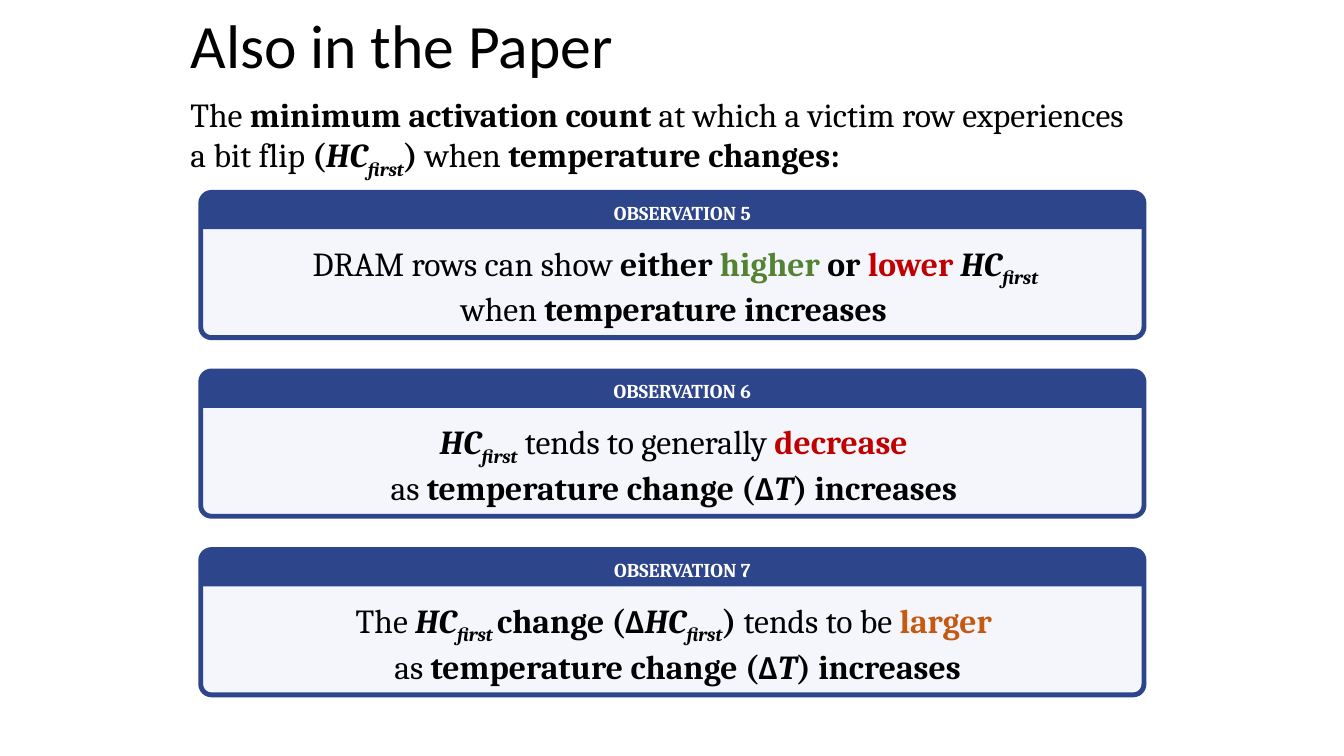
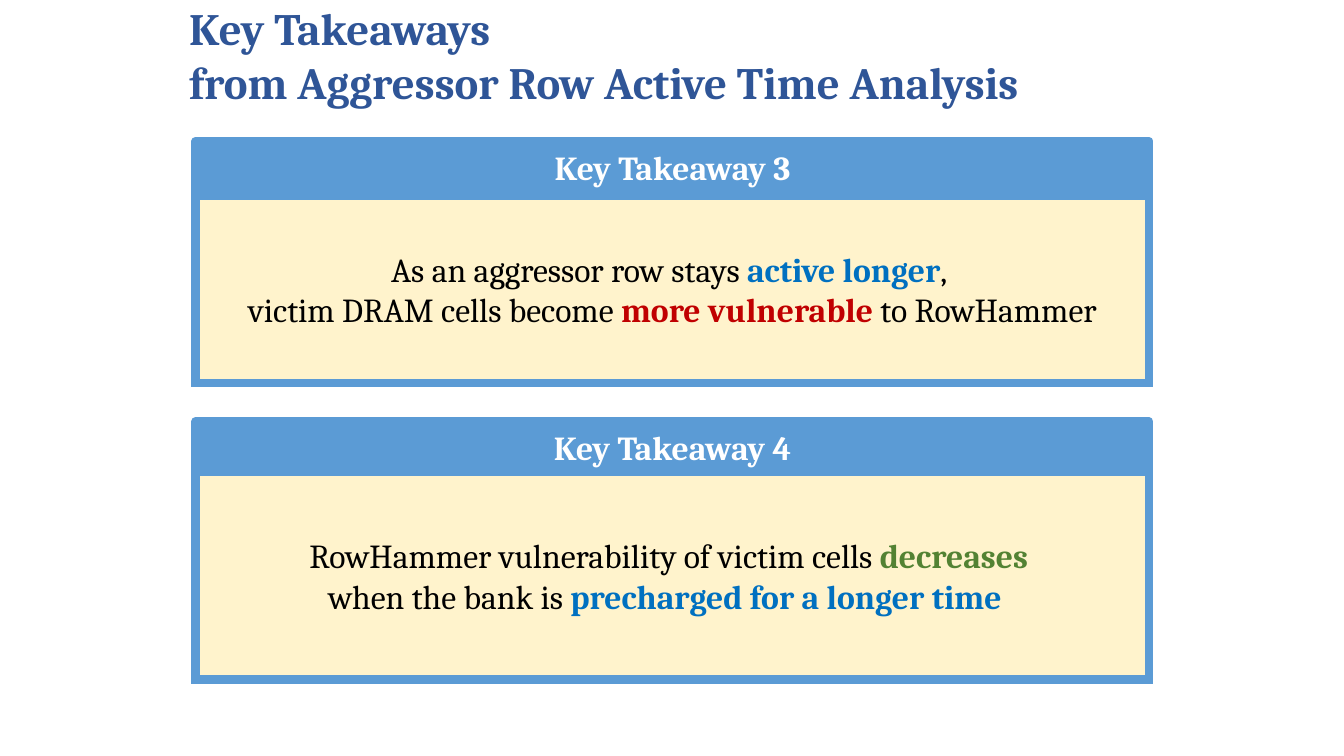
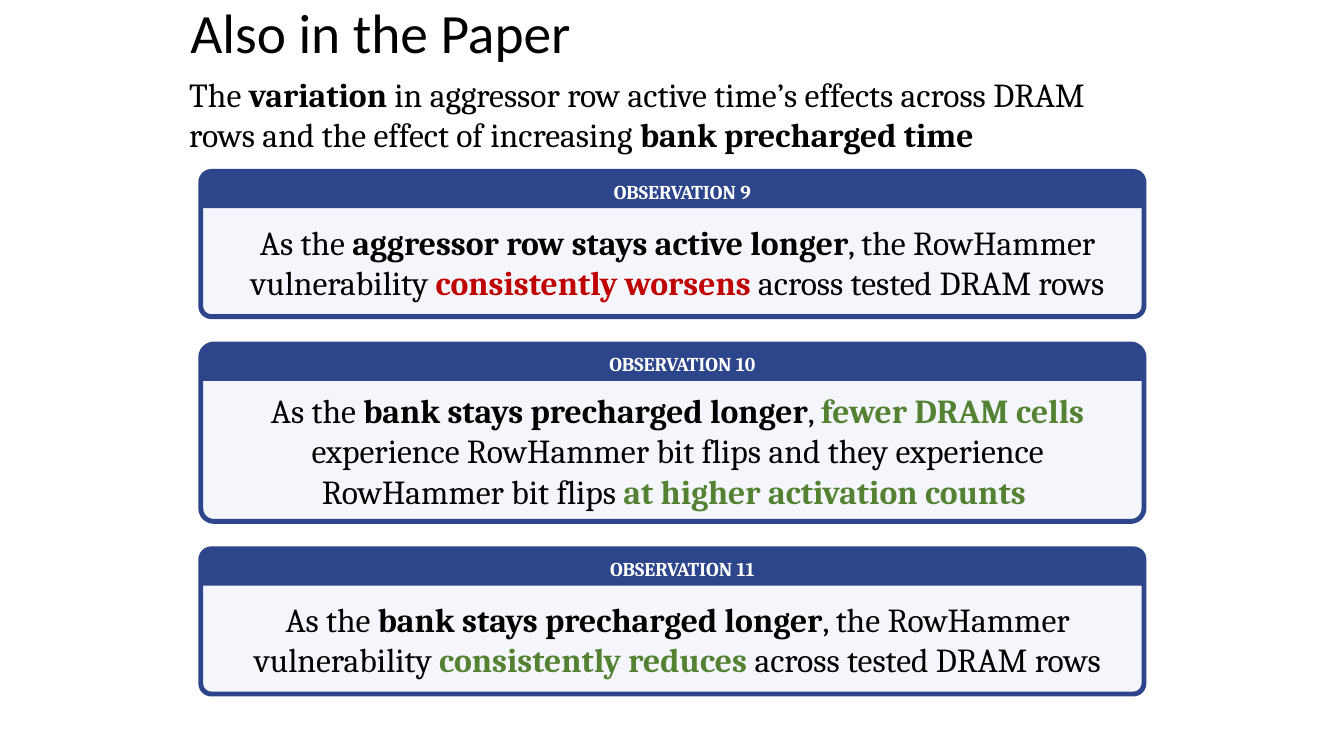
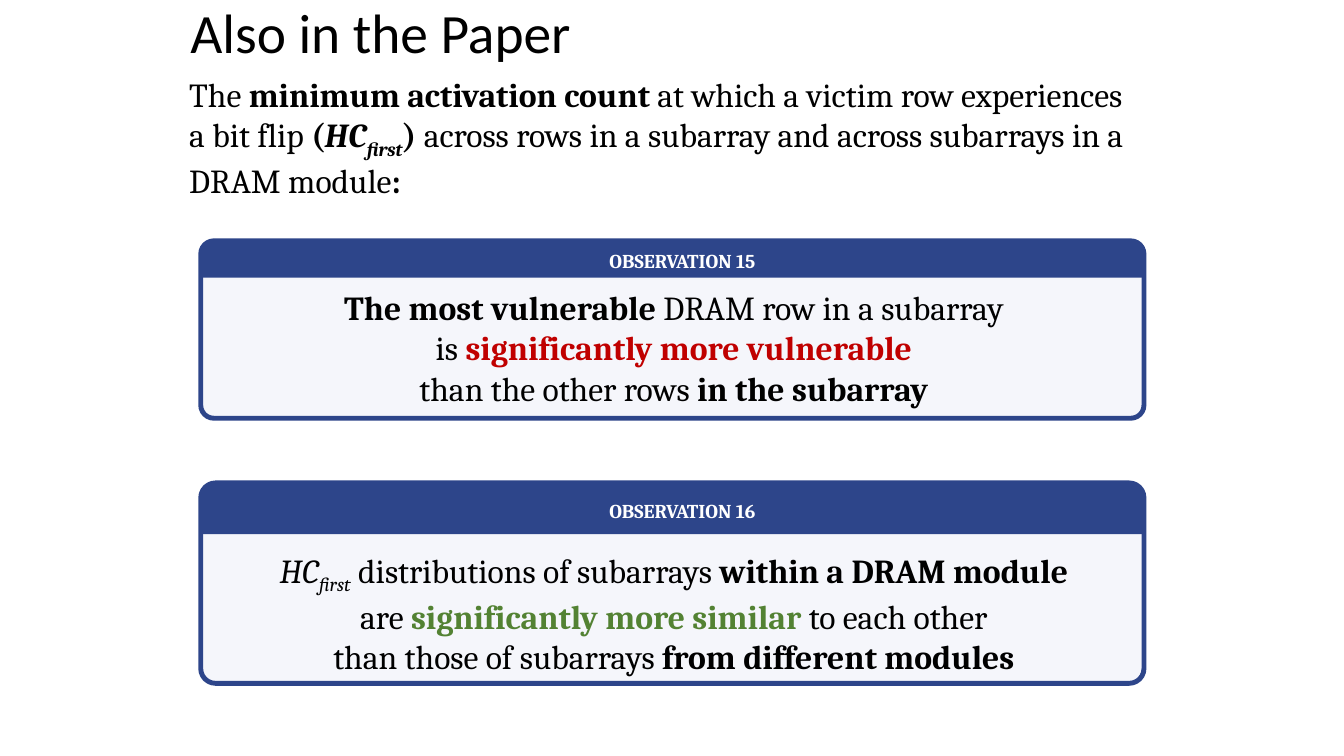
from lxml import etree
from pptx import Presentation
from pptx.dml.color import RGBColor
from pptx.enum.shapes import MSO_SHAPE
from pptx.enum.text import MSO_ANCHOR, PP_ALIGN
from pptx.oxml.ns import qn
from pptx.util import Cm, Pt

ROUND, ROUND_TOP = MSO_SHAPE.ROUNDED_RECTANGLE, MSO_SHAPE.ROUND_2_SAME_RECTANGLE
RECT = MSO_SHAPE.RECTANGLE
TOP, MIDDLE = MSO_ANCHOR.TOP, MSO_ANCHOR.MIDDLE
LEFT, CENTER = PP_ALIGN.LEFT, PP_ALIGN.CENTER

BLACK = RGBColor(0x00, 0x00, 0x00)
WHITE = RGBColor(0xFF, 0xFF, 0xFF)
NAVY = RGBColor(0x2D, 0x45, 0x8A)
PALE = RGBColor(0xF5, 0xF6, 0xFB)
SKY = RGBColor(0x5B, 0x9B, 0xD5)
CREAM = RGBColor(0xFF, 0xF3, 0xCC)
HEADING = RGBColor(0x2F, 0x55, 0x97)
GREEN = RGBColor(0x53, 0x82, 0x33)
RED = RGBColor(0xC0, 0x00, 0x00)
ORANGE = RGBColor(0xC5, 0x59, 0x11)
BLUE = RGBColor(0x00, 0x70, 0xC0)

SERIF, SANS = "Cambria", "Calibri"
INSETS = (0.25, 0.13, 0.25, 0.13)
CARD_INSETS = (0.51, 0.13, 0.25, 0.13)
HEADER_INSETS = (0.51, 0, 0, 0)

# Run marks: b bold, i italic, s subscript, d sans font; capitals are colours
COLOURS = {"G": GREEN, "R": RED, "O": ORANGE, "B": BLUE}

# Card sizes in cm: height, header height, text offset, text height
SHORT = (3.66, 0.91, 1.13, 2.31)
MEDIUM = (4.47, 0.91, 1.03, 3.33)
TALL = (5.05, 1.27, 1.55, 3.33)

# ---- Content: paragraphs are lists of (text, marks) ----
HC_FIRST = [("HC", "bi"), ("first", "bis")]
DELTA_T = [("Δ", "bd"), ("T", "bi")]
MIN_COUNT = [("The ", ""), ("minimum activation count", "b"),
             (" at which a victim row experiences a bit flip ", ""),
             ("(", "b"), *HC_FIRST, (") ", "b")]

TEMPERATURE = {
    "title": (-0.36, 3.18, 44),
    "intro": (4.55, 2.24, 2.31,
              MIN_COUNT + [("when ", ""), ("temperature changes:", "b")]),
    "top": 4.85, "gap": 0.84,
    "cards": [
        (5, SHORT, [
            [("DRAM rows can show ", ""), ("either ", "b"), ("higher", "bG"),
             (" or ", "b"), ("lower ", "bR"), ("HC", "bi"), ("first ", "bis")],
            [("when ", ""), ("temperature increases ", "b")]]),
        (6, SHORT, [
            [*HC_FIRST, (" tends to generally ", ""), ("decrease ", "bR")],
            [("as ", ""), ("temperature change (", "b"), *DELTA_T,
             (") increases ", "b")]]),
        (7, SHORT, [
            [("The ", ""), ("HC", "bi"), ("first ", "bis"), ("change (", "b"),
             ("Δ", "bd"), *HC_FIRST, (")", "b"), (" tends to be ", ""),
             ("larger ", "bO")],
            [("as ", ""), ("temperature change (", "b"), *DELTA_T,
             (") increases", "b")]]),
    ],
}

ACTIVE_TIME = {
    "title": (0, 1.78, 39.6),
    "intro": (4.52, 1.73, 2.31, [
        ("The ", ""), ("variation ", "b"),
        ("in aggressor row active time’s effects across DRAM rows "
         "and the effect of increasing ", ""),
        ("bank precharged time", "b")]),
    "top": 4.32, "gap": 0.69,
    "cards": [
        (9, SHORT, [
            [("As the ", ""), ("aggressor row stays active longer", "b"),
             (", the RowHammer vulnerability ", ""),
             ("consistently worsens ", "bR"), ("across tested DRAM rows", "")]]),
        (10, MEDIUM, [
            [("As the ", ""), ("bank stays precharged longer", "b"), (", ", ""),
             ("fewer DRAM cells ", "bG"),
             ("experience RowHammer bit flips and they experience "
              "RowHammer bit flips ", ""),
             ("at higher activation counts ", "bG")]]),
        (11, SHORT, [
            [("As the ", ""), ("bank stays precharged longer", "b"),
             (", the RowHammer vulnerability ", ""),
             ("consistently reduces ", "bG"), ("across tested DRAM rows", "")]]),
    ],
}

SUBARRAYS = {
    "title": (0, 1.78, 39.6),
    "intro": (4.52, 1.73, 3.33, MIN_COUNT + [
        ("across rows in a subarray and across subarrays in a DRAM module", ""),
        (":", "b")]),
    "top": 6.07, "gap": 1.63,
    "cards": [
        (15, MEDIUM, [
            [("The most vulnerable ", "b"), ("DRAM row in a subarray ", "")],
            [("is ", ""), ("significantly more vulnerable ", "bR")],
            [("than the other rows ", ""), ("in the subarray ", "b")]]),
        (16, TALL, [
            [("HC", "i"), ("first", "is"), (" distributions of subarrays ", ""),
             ("within a DRAM module ", "b")],
            [("are ", ""), ("significantly more similar ", "bG"),
             ("to each other ", "")],
            [("than those of subarrays ", ""), ("from different modules ", "b")]]),
    ],
}

# number, header top, body top, body height, paragraphs
TAKEAWAYS = [
    (3, 3.56, 4.93, 4.72, [
        [("As an aggressor row stays ", ""), ("active longer", "bB"), (", ", "")],
        [("victim DRAM cells become ", ""), ("more vulnerable ", "bR"),
         ("to RowHammer", "")]]),
    (4, 10.62, 11.89, 5.23, [
        [("RowHammer vulnerability of victim cells ", ""), ("decreases ", "bG")],
        [("when the bank is ", ""), ("precharged for a longer time  ", "bB")]]),
]


# ---- Helpers ----
def write(sp, paragraphs, size=24, colour=BLACK, font=SERIF, align=CENTER,
          anchor=MIDDLE, insets=INSETS, spacing=None):
    tf = sp.text_frame
    tf.word_wrap = True
    tf.vertical_anchor = anchor
    (tf.margin_left, tf.margin_top,
     tf.margin_right, tf.margin_bottom) = [Cm(v) for v in insets]
    for n, runs in enumerate(paragraphs):
        p = tf.add_paragraph() if n else tf.paragraphs[0]
        p.alignment = align
        if spacing:
            p.line_spacing = spacing
        for text, marks in runs:
            r = p.add_run()
            r.text = text
            r.font.size = Pt(size)
            r.font.name = SANS if "d" in marks else font
            r.font.bold = "b" in marks
            r.font.italic = "i" in marks
            r.font.color.rgb = next(
                (COLOURS[m] for m in marks if m in COLOURS), colour)
            if "s" in marks:
                r.font._element.set("baseline", "-25000")


def add_text(shapes, box, paragraphs, **style):
    write(shapes.add_textbox(*[Cm(v) for v in box]), paragraphs, **style)


def add_box(shapes, kind, box, fill, line, width, adjustments=()):
    sp = shapes.add_shape(kind, *[Cm(v) for v in box])
    sp.shadow.inherit = False
    sp.fill.solid()
    sp.fill.fore_color.rgb = fill
    sp.line.color.rgb = line
    sp.line.width = Pt(width)
    for n, value in enumerate(adjustments):
        sp.adjustments[n] = value
    return sp


def add_card(s, top, number, size, paragraphs):
    left, width = 5.06, 23.77
    height, header_height, text_offset, text_height = size
    shapes = s.shapes.add_group_shape().shapes
    add_box(shapes, ROUND, (left, top, width, height), PALE, NAVY, 3.5, [0.074])
    header = add_box(shapes, ROUND_TOP, (left, top, width, header_height),
                     NAVY, NAVY, 1, [0.337, 0])
    write(header, [[(f"OBSERVATION {number}", "b")]], size=14, colour=WHITE,
          insets=HEADER_INSETS)
    add_text(shapes, (left, top + text_offset, width, text_height), paragraphs,
             anchor=TOP, insets=CARD_INSETS)


def add_takeaway(s, number, header_top, top, height, paragraphs):
    left, width = 4.93, 24.03
    shapes = s.shapes.add_group_shape().shapes
    body = add_box(shapes, RECT, (left, top, width, height), CREAM, SKY, 6)
    etree.SubElement(body.line._get_or_add_ln(), qn("a:miter"), lim="800000")
    write(body, paragraphs)
    header = add_box(shapes, RECT, (left, header_top, width, 1.27), SKY, SKY, 6)
    write(header, [[(f"Key Takeaway {number}", "b")]], colour=WHITE, anchor=TOP)


def new_slide(prs):
    return prs.slides.add_slide(prs.slide_layouts[6])


def observation_slide(prs, content):
    s = new_slide(prs)
    title_top, title_height, title_size = content["title"]
    add_text(s.shapes, (4.55, title_top, 23.65, title_height),
             [[("Also in the Paper", "")]], size=title_size, font=SANS,
             align=LEFT, spacing=0.9)
    left, intro_top, intro_height, intro = content["intro"]
    add_text(s.shapes, (left, intro_top, 24.31, intro_height), [intro],
             align=LEFT, anchor=TOP)
    top = content["top"]
    for number, size, paragraphs in content["cards"]:
        add_card(s, top, number, size, paragraphs)
        top += size[0] + content["gap"]


def takeaway_slide(prs):
    s = new_slide(prs)
    for takeaway in TAKEAWAYS:
        add_takeaway(s, *takeaway)
    add_text(s.shapes, (4.52, 0, 25.1, 2.77),
             [[("Key Takeaways", "b")],
              [("from Aggressor Row Active Time Analysis", "b")]],
             size=32, colour=HEADING, align=LEFT)


def main():
    prs = Presentation()
    prs.slide_width, prs.slide_height = Cm(33.87), Cm(19.05)
    observation_slide(prs, TEMPERATURE)
    takeaway_slide(prs)
    observation_slide(prs, ACTIVE_TIME)
    observation_slide(prs, SUBARRAYS)
    prs.save("out.pptx")


if __name__ == "__main__":
    main()
